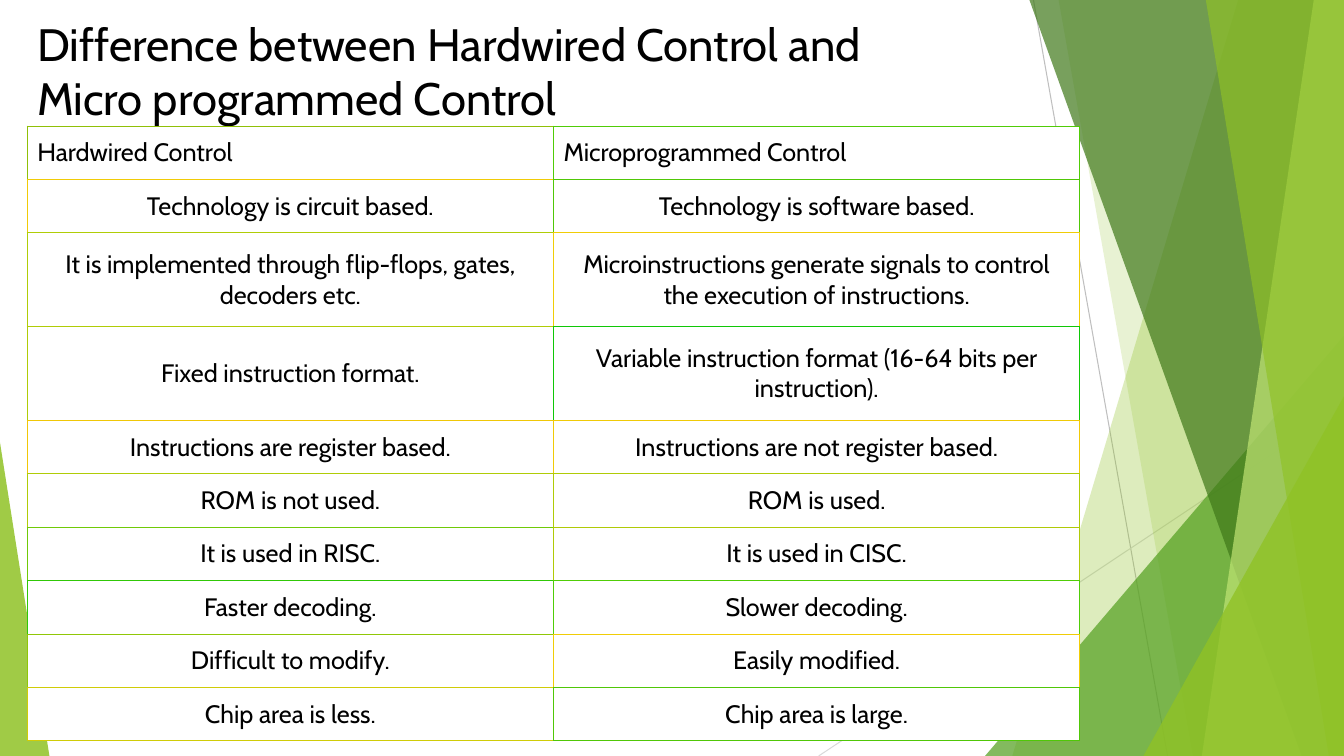
from lxml import etree
from pptx import Presentation
from pptx.dml.color import RGBColor
from pptx.enum import shapes, text
from pptx.oxml import ns
from pptx.util import Inches, Pt

FONT = "Cabin"
BLACK = RGBColor(0x00, 0x00, 0x00)
WHITE = RGBColor(0xFF, 0xFF, 0xFF)
GRAY = RGBColor(0xBF, 0xBF, 0xBF)
LIGHT_GRAY = RGBColor(0xD9, 0xD9, 0xD9)
GREEN = RGBColor(0x90, 0xC2, 0x26)
MID_GREEN = RGBColor(0x54, 0xA0, 0x21)
DARK_GREEN = RGBColor(0x3F, 0x78, 0x19)
PALE_GREEN = RGBColor(0xC0, 0xE4, 0x74)
WIDTH, HEIGHT = 13.33, 7.5


def add_element(parent, tag, **attributes):
    return etree.SubElement(parent, ns.qn(tag), attributes)


class SlideBuilder:
    """Holds the slide and the style shared by its elements."""

    def __init__(self, slide, font):
        self.slide = slide
        self.shapes = slide.shapes
        self.font = font

    def add_text(self, paragraph, words, size, alignment):
        paragraph.alignment = alignment
        run = paragraph.add_run()
        run.text = words
        run.font.name = self.font
        run.font.size = Pt(size)
        run.font.color.rgb = BLACK

    def title(self, words, left, top, width, height, size):
        shape = self.shapes.title
        shape.left, shape.top = Inches(left), Inches(top)
        shape.width, shape.height = Inches(width), Inches(height)
        frame = shape.text_frame
        frame.word_wrap = True
        frame.auto_size = text.MSO_AUTO_SIZE.NONE
        frame.vertical_anchor = text.MSO_ANCHOR.TOP
        self.add_text(frame.paragraphs[0], words, size, text.PP_ALIGN.LEFT)

    def line(self, start, end, color):
        points = [Inches(value) for value in (*start, *end)]
        connector = self.shapes.add_connector(shapes.MSO_CONNECTOR.STRAIGHT, *points)
        connector.line.color.rgb = color
        connector.line.width = Pt(0.75)
        add_element(connector._element.spPr, "a:effectLst")

    def paint(self, shape, color, opacity):
        shape.shadow.inherit = False
        shape.line.fill.background()
        shape.fill.solid()
        shape.fill.fore_color.rgb = color
        color_element = shape._element.spPr.find(".//" + ns.qn("a:srgbClr"))
        add_element(color_element, "a:alpha", val=str(opacity * 1000))

    def polygon(self, points, color, opacity):
        corners = [(Inches(x), Inches(y)) for x, y in points]
        builder = self.shapes.build_freeform(*corners[0])
        builder.add_line_segments(corners[1:], close=True)
        self.paint(builder.convert_to_shape(), color, opacity)

    def triangle(self, left, top, width, apex, color, opacity):
        shape = self.shapes.add_shape(
            shapes.MSO_SHAPE.ISOSCELES_TRIANGLE,
            Inches(left), Inches(top), Inches(width), Inches(HEIGHT - top))
        shape.adjustments[0] = apex
        self.paint(shape, color, opacity)

    def cell_borders(self, cell, colors):
        properties = cell._tc.get_or_add_tcPr()
        for position, (side, color) in enumerate(colors.items()):
            border = etree.Element(ns.qn("a:" + side), w=str(Pt(0.75)))
            fill = add_element(border, "a:solidFill")
            add_element(fill, "a:srgbClr", val=color)
            properties.insert(position, border)

    def table(self, rows, left, top, column_width, row_heights, size):
        column_count = len(rows[0])
        frame = self.shapes.add_table(
            len(rows), column_count, Inches(left), Inches(top),
            Inches(column_width * column_count), Inches(sum(row_heights)))
        table = frame.table
        table.first_row = table.horz_banding = False
        for column in table.columns:
            column.width = Inches(column_width)
        for r, row in enumerate(rows):
            table.rows[r].height = Inches(row_heights[r])
            for c, (words, color) in enumerate(row):
                cell = table.cell(r, c)
                cell.fill.solid()
                cell.fill.fore_color.rgb = WHITE
                cell.vertical_anchor = text.MSO_ANCHOR.MIDDLE
                alignment = text.PP_ALIGN.CENTER if r else text.PP_ALIGN.LEFT
                self.add_text(cell.text_frame.paragraphs[0], words, size, alignment)
                # A shared edge takes the colour of the cell after it
                right = row[min(c + 1, column_count - 1)][1]
                below = rows[min(r + 1, len(rows) - 1)][c][1]
                self.cell_borders(cell, {"lnL": color, "lnR": right, "lnT": color, "lnB": below})


presentation = Presentation()
presentation.slide_width = Inches(WIDTH)
presentation.slide_height = Inches(HEIGHT)
builder = SlideBuilder(presentation.slides.add_slide(presentation.slide_layouts[5]), FONT)


# Green facets: each band runs from its top edge to its bottom edge
def add_band(top_x, bottom_x, color, opacity):
    points = [(top_x, 0), (WIDTH, 0), (WIDTH, HEIGHT), (bottom_x, HEIGHT)]
    builder.polygon(points, color, opacity)


builder.line((10.25, 0), (11.58, HEIGHT), GRAY)
builder.line((WIDTH, 4.03), (8.12, HEIGHT), LIGHT_GRAY)
add_band(12.28, 10.04, GREEN, 30)
add_band(10.5, 11.83, GREEN, 20)
builder.triangle(9.77, 3.33, 3.56, 1, MID_GREEN, 72)
add_band(10.21, 12.91, DARK_GREEN, 70)
add_band(13.03, 11.92, PALE_GREEN, 70)
add_band(11.96, 13.18, GREEN, 65)
builder.triangle(11.34, 3.93, 1.99, 1, GREEN, 80)
builder.triangle(0, 4.39, 0.49, 0, GREEN, 85)

# Title
builder.title("Difference between Hardwired Control and Micro programmed Control",
              0.27, 0.11, 9.4, 1.44, 32.4)

# Comparison table: each cell has its text and border colour
COMPARISON = [
    [("Hardwired Control", "90C007"), ("Microprogrammed Control", "50CC07")],
    [("Technology is circuit based.", "F0CB07"), ("Technology is software based.", "50C707")],
    [("It is implemented through flip-flops, gates, decoders etc.", "B0CD07"),
     ("Microinstructions generate signals to control the execution of instructions.", "F0CD07")],
    [("Fixed instruction format.", "B0CC07"),
     ("Variable instruction format (16-64 bits per instruction).", "10C707")],
    [("Instructions are register based.", "F0C707"),
     ("Instructions are not register based.", "F0CA07")],
    [("ROM is not used.", "B0CC07"), ("ROM is used.", "B0CB07")],
    [("It is used in RISC.", "70CA07"), ("It is used in CISC.", "B0CA07")],
    [("Faster decoding.", "30C807"), ("Slower decoding.", "50CD07")],
    [("Difficult to modify.", "90C707"), ("Easily modified.", "F0CD07")],
    [("Chip area is less.", "D0CC07"), ("Chip area is large.", "50C707")],
]
TALL_ROWS = (2, 3)
row_heights = [0.93 if r in TALL_ROWS else 0.53 for r in range(len(COMPARISON))]
builder.table(COMPARISON, 0.27, 1.25, 5.22, row_heights, 18)

presentation.save("out.pptx")
